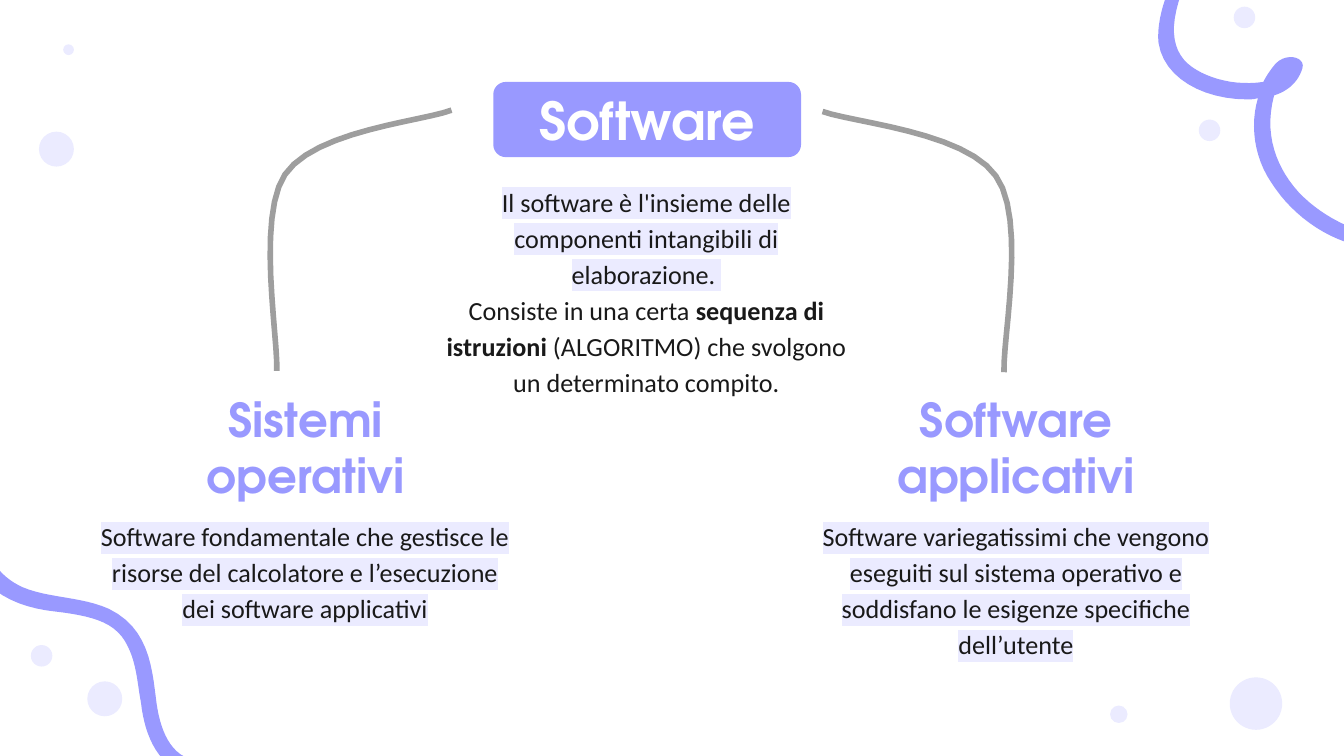
import copy

import pptx
import pptx.dml.color
import pptx.enum.shapes
import pptx.enum.text
import pptx.oxml
import pptx.oxml.ns
import pptx.util

Inches, Pt = pptx.util.Inches, pptx.util.Pt
qn = pptx.oxml.ns.qn

COLORS = {"violet": "9999FF", "pale": "EBEBFF", "ink": "191919",
          "gray": "9E9E9E", "white": "FFFFFF"}
HEADING_FONT, BODY_FONT = "TeX Gyre Adventor", "Calibri"

# Content: each run is (text, highlighted, bold); None is a line break
TITLE, TITLE_BOX = "Software", (3.67, 0.61, 2.29, 0.56)
DEFINITION = [
    ("Il software è l'insieme delle componenti intangibili di elaborazione. ", True, False),
    None,
    ("Consiste in una certa ", False, False),
    ("sequenza di istruzioni", False, True),
    (" (ALGORITMO) che svolgono un determinato compito.", False, False),
]
OPERATING = [("Software fondamentale che gestisce le risorse del calcolatore "
              "e l’esecuzione dei software applicativi", True, False)]
APPLICATIONS = [("Software variegatissimi che vengono eseguiti sul sistema operativo "
                 "e soddisfano le esigenze specifiche dell’utente", True, False)]

# Text boxes: left, top, width, height
HEADINGS = [("Software applicativi", (6.32, 3.13, 2.48, 0.39)),
            ("Sistemi operativi", (1.19, 3.13, 2.17, 0.39))]
BODIES = [(DEFINITION, (3.19, 1.25, 3.24, 1.79)),
          (OPERATING, (0.63, 3.74, 3.28, 1.25)),
          (APPLICATIONS, (5.92, 3.74, 3.28, 1.25))]

# Dots: left, top, diameter
DOTS = [(8.92, 0.89, 0.16), (9.15, 5.04, 0.39), (0.23, 4.8, 0.16), (0.65, 5.07, 0.26),
        (0.29, 0.98, 0.26), (8.26, 5.25, 0.13), (9.18, 0.05, 0.16), (0.47, 0.33, 0.08)]

# Curves: a start point, then (control, control, end) for each Bézier piece
LEFT_RIBBON = ((-0.07, 3.75), [
    ((-0.14, 3.75), (-0.22, 3.99), (-0.2, 4.12)),
    ((-0.15, 4.4), (0.13, 4.52), (0.41, 4.55)),
    ((0.66, 4.58), (0.84, 4.62), (0.93, 4.77)),
    ((1.02, 4.92), (1.02, 5.08), (1.05, 5.23)),
    ((1.07, 5.41), (1.13, 5.6), (1.28, 5.71)),
    ((1.32, 5.74), (1.38, 5.76), (1.41, 5.72)),
    ((1.44, 5.66), (1.37, 5.63), (1.34, 5.61)),
    ((1.23, 5.53), (1.18, 5.37), (1.16, 5.19)),
    ((1.13, 4.95), (1.1, 4.67), (0.81, 4.53)),
    ((0.61, 4.44), (0.36, 4.45), (0.17, 4.37)),
    ((0.04, 4.31), (-0.08, 4.2), (-0.08, 4.05)),
    ((-0.08, 3.98), (-0.04, 3.91), (-0.02, 3.84)),
    ((0, 3.8), (-0.03, 3.75), (-0.07, 3.75)),
])
RIGHT_RIBBON = ((8.74, -0.12), [
    ((8.69, -0.11), (8.6, 0.16), (8.62, 0.32)),
    ((8.66, 0.58), (8.95, 0.74), (9.28, 0.74)),
    ((9.31, 0.74), (9.33, 0.74), (9.36, 0.73)),
    ((9.3, 0.93), (9.33, 1.17), (9.46, 1.36)),
    ((9.58, 1.55), (9.78, 1.72), (10.01, 1.8)),
    ((10.08, 1.83), (10.13, 1.73), (10.05, 1.69)),
    ((9.94, 1.65), (9.72, 1.53), (9.59, 1.34)),
    ((9.48, 1.18), (9.41, 0.97), (9.48, 0.71)),
    ((9.58, 0.68), (9.66, 0.61), (9.69, 0.51)),
    ((9.72, 0.42), (9.55, 0.38), (9.47, 0.5)),
    ((9.44, 0.54), (9.42, 0.57), (9.4, 0.61)),
    ((9.2, 0.64), (9, 0.59), (8.87, 0.5)),
    ((8.73, 0.4), (8.69, 0.23), (8.79, -0.05)),
    ((8.8, -0.08), (8.78, -0.12), (8.74, -0.12)),
])
BRANCHES = [
    ((3.36, 0.82), [((3.16, 0.9), (2.34, 0.97), (2.12, 1.3)),
                    ((1.91, 1.62), (2.07, 2.51), (2.06, 2.76))]),
    ((6.12, 0.83), [((6.33, 0.91), (7.18, 0.98), (7.41, 1.31)),
                    ((7.64, 1.63), (7.46, 2.52), (7.47, 2.77))]),
]


def rgb(name):
    return pptx.dml.color.RGBColor.from_string(COLORS[name])


def curve_points(start, pieces, steps=12):
    points = [start]
    for first, second, end in pieces:
        for step in range(1, steps + 1):
            t = step / steps
            weights = ((1 - t) ** 3, 3 * t * (1 - t) ** 2, 3 * t * t * (1 - t), t ** 3)
            points.append(tuple(sum(w * p[axis] for w, p in
                                    zip(weights, (start, first, second, end)))
                                for axis in (0, 1)))
        start = end
    return [(Inches(x), Inches(y)) for x, y in points]


def add_curve(slide, curve, closed):
    start, *rest = curve_points(*curve)
    builder = slide.shapes.build_freeform(*start)
    builder.add_line_segments(rest, close=closed)
    shape = builder.convert_to_shape()
    shape.shadow.inherit = False
    return shape


def add_plain_shape(slide, kind, box, color):
    shape = slide.shapes.add_shape(kind, *map(Inches, box))
    shape.shadow.inherit = False
    fill_plain(shape, color)


def fill_plain(shape, color):
    shape.fill.solid()
    shape.fill.fore_color.rgb = rgb(color)
    shape.line.fill.background()


def format_run(run, font, size, color, bold):
    run.font.name, run.font.size, run.font.bold = font, Pt(size), bold
    run.font.color.rgb = rgb(color)


def set_frame(frame, anchor, auto_size):
    frame.word_wrap = True
    frame.auto_size = auto_size
    frame.vertical_anchor = anchor
    frame.margin_left = frame.margin_right = Inches(0.1)
    frame.margin_top = frame.margin_bottom = Inches(0.1)
    frame.paragraphs[0].alignment = pptx.enum.text.PP_ALIGN.CENTER


def set_heading(shape, text, size, color):
    shape.text_frame.text = text
    set_frame(shape.text_frame, pptx.enum.text.MSO_ANCHOR.MIDDLE,
              pptx.enum.text.MSO_AUTO_SIZE.NONE)
    format_run(shape.text_frame.paragraphs[0].runs[0], HEADING_FONT, size, color, True)


def highlight(run):
    mark = pptx.oxml.parse_xml(
        '<a:highlight xmlns:a="http://schemas.openxmlformats.org/drawingml/2006/main">'
        f'<a:srgbClr val="{COLORS["pale"]}"/></a:highlight>')
    run.font._element.find(qn("a:solidFill")).addnext(mark)


def add_body(slide, parts, box):
    frame = slide.shapes.add_textbox(*map(Inches, box)).text_frame
    set_frame(frame, pptx.enum.text.MSO_ANCHOR.TOP,
              pptx.enum.text.MSO_AUTO_SIZE.SHAPE_TO_FIT_TEXT)
    paragraph = frame.paragraphs[0]
    paragraph.line_spacing = 1.15
    paragraph.space_after = Pt(16)
    for part in parts:
        if part is None:
            paragraph.add_line_break()
            # The break takes the size of the run before it
            paragraph._p[-1].append(copy.deepcopy(run.font._element))
            continue
        text, marked, bold = part
        run = paragraph.add_run()
        run.text = text
        format_run(run, BODY_FONT, 14, "ink", bold)
        if marked:
            highlight(run)


def main():
    deck = pptx.Presentation()
    deck.slide_width, deck.slide_height = Inches(10), Inches(10) * 9 // 16
    slide = deck.slides.add_slide(deck.slide_layouts[5])
    presets = pptx.enum.shapes.MSO_SHAPE

    # Corner ribbons and dots
    for ribbon in (LEFT_RIBBON, RIGHT_RIBBON):
        fill_plain(add_curve(slide, ribbon, True), "violet")
    for left, top, diameter in DOTS:
        add_plain_shape(slide, presets.OVAL, (left, top, diameter, diameter), "pale")

    # Title in front of its rounded box
    add_plain_shape(slide, presets.ROUNDED_RECTANGLE, TITLE_BOX, "violet")
    title = slide.shapes.title
    title.left, title.top, title.width, title.height = map(Inches, TITLE_BOX)
    set_heading(title, TITLE, 28, "white")
    slide.shapes._spTree.append(title._element)

    # Branches from the title to the two kinds of software
    for curve in BRANCHES:
        branch = add_curve(slide, curve, False)
        branch.fill.background()
        branch.line.color.rgb = rgb("gray")
        branch.line.width = Pt(3)

    # Headings and explanations
    for text, box in HEADINGS:
        set_heading(slide.shapes.add_textbox(*map(Inches, box)), text, 25, "violet")
    for parts, box in BODIES:
        add_body(slide, parts, box)

    deck.save("out.pptx")


if __name__ == "__main__":
    main()
